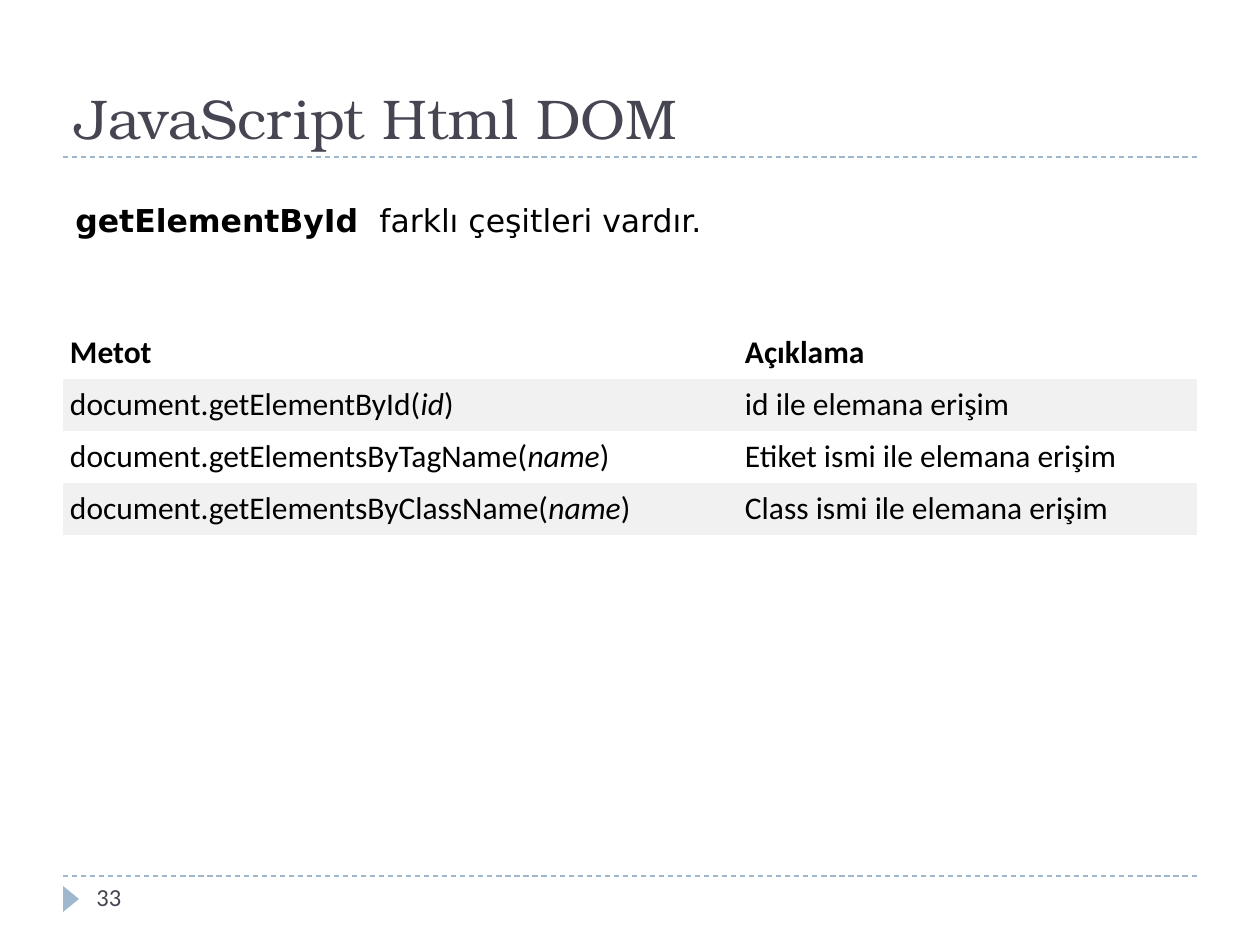
from dataclasses import dataclass

from lxml.etree import SubElement
from pptx import Presentation
from pptx.dml.color import RGBColor as Rgb
from pptx.enum.dml import MSO_LINE_DASH_STYLE as Dash
from pptx.enum.shapes import MSO_CONNECTOR as Connector, MSO_SHAPE as Shape
from pptx.enum.text import MSO_ANCHOR as Anchor
from pptx.oxml.ns import qn
from pptx.util import Emu, Pt

PX_PER_INCH = 126
NO_GRID_STYLE = "{2D5ABB26-0587-4C30-8999-92F81FD0307C}"


@dataclass(frozen=True)
class Theme:
    ink: str = "000000"
    heading: str = "464653"
    accent: str = "9FB8CD"
    bands: tuple = ("FFFFFF", "F1F1F1")
    title_font: str = "TeX Gyre Bonum"
    lead_font: str = "DejaVu Sans"
    body_font: str = "Calibri"
    title_size: int = 32
    body_size: int = 18
    number_size: int = 14


def px(length):
    return Emu(round(length * 914400 / PX_PER_INCH))


class Painter:
    def __init__(self, page, theme):
        self.page = page
        self.theme = theme

    def fill_para(self, para, spans, font, size, color, bold=None):
        para.font.name = font
        para.font.size = Pt(size)
        para.font.color.rgb = Rgb.from_string(color)
        para.font.bold = bold
        for text, style in spans:
            span = para.add_run()
            span.text = text
            if style == "bold":
                span.font.bold = True
            elif style == "italic":
                span.font.italic = True

    def text(self, place, spans, font, size, color, anchor=Anchor.TOP):
        frame = self.page.shapes.add_textbox(*map(px, place)).text_frame
        frame.word_wrap = True
        frame.vertical_anchor = anchor
        self.fill_para(frame.paragraphs[0], spans, font, size, color)

    def rule(self, left, right, y):
        line = self.page.shapes.add_connector(
            Connector.STRAIGHT, px(left), px(y), px(right), px(y))
        line.line.color.rgb = Rgb.from_string(self.theme.accent)
        line.line.width = Pt(0.75)
        line.line.dash_style = Dash.DASH
        SubElement(line._element.spPr, qn("a:effectLst"))

    def marker(self, place):
        triangle = self.page.shapes.add_shape(Shape.ISOSCELES_TRIANGLE, *map(px, place))
        triangle.rotation = 90
        triangle.shadow.inherit = False
        triangle.fill.solid()
        triangle.fill.fore_color.rgb = Rgb.from_string(self.theme.accent)
        triangle.line.fill.background()

    def table(self, left, top, widths, row_height, rows):
        theme = self.theme
        frame = self.page.shapes.add_table(
            len(rows), len(widths), px(left), px(top),
            px(sum(widths)), px(row_height * len(rows)))
        table = frame.table
        table._tbl.tblPr.find(qn("a:tableStyleId")).text = NO_GRID_STYLE
        table.horz_banding = False
        for column, width in zip(table.columns, widths):
            column.width = px(width)
        for index, row in enumerate(rows):
            for cell, spans in zip(table.rows[index].cells, row):
                cell.margin_left = cell.margin_right = px(7)
                cell.margin_top = cell.margin_bottom = px(6)
                cell.vertical_anchor = Anchor.MIDDLE
                cell.fill.solid()
                cell.fill.fore_color.rgb = Rgb.from_string(theme.bands[index % 2])
                self.fill_para(cell.text_frame.paragraphs[0], spans, theme.body_font,
                               theme.body_size, theme.ink, bold=index == 0)


def method_row(method, argument, meaning):
    call = [(f"document.{method}(", None), (argument, "italic"), (")", None)]
    return [call, [(meaning, None)]]


def main():
    deck = Presentation()
    deck.slide_width, deck.slide_height = px(1260), px(945)
    page = deck.slides.add_slide(deck.slide_layouts[6])
    theme = Theme()
    painter = Painter(page, theme)

    for y in (876, 157):
        painter.rule(63, 1197, y)
    painter.marker((58, 891, 26, 16))
    painter.text((63, 21, 1134, 136), [("JavaScript Html DOM", None)],
                 theme.title_font, theme.title_size, theme.heading, Anchor.BOTTOM)
    painter.text((84, 876, 273, 50), [("33", None)],
                 theme.body_font, theme.number_size, theme.heading)
    painter.text((63, 195, 1134, 50),
                 [("getElementById ", "bold"), (" farklı çeşitleri vardır.", None)],
                 theme.lead_font, theme.body_size, theme.ink)
    painter.table(63, 327, (675, 459), 52, [
        [[("Metot", None)], [("Açıklama", None)]],
        method_row("getElementById", "id", "id ile elemana erişim"),
        method_row("getElementsByTagName", "name", "Etiket ismi ile elemana erişim"),
        method_row("getElementsByClassName", "name", "Class ismi ile elemana erişim"),
    ])
    deck.save("out.pptx")


if __name__ == "__main__":
    main()
